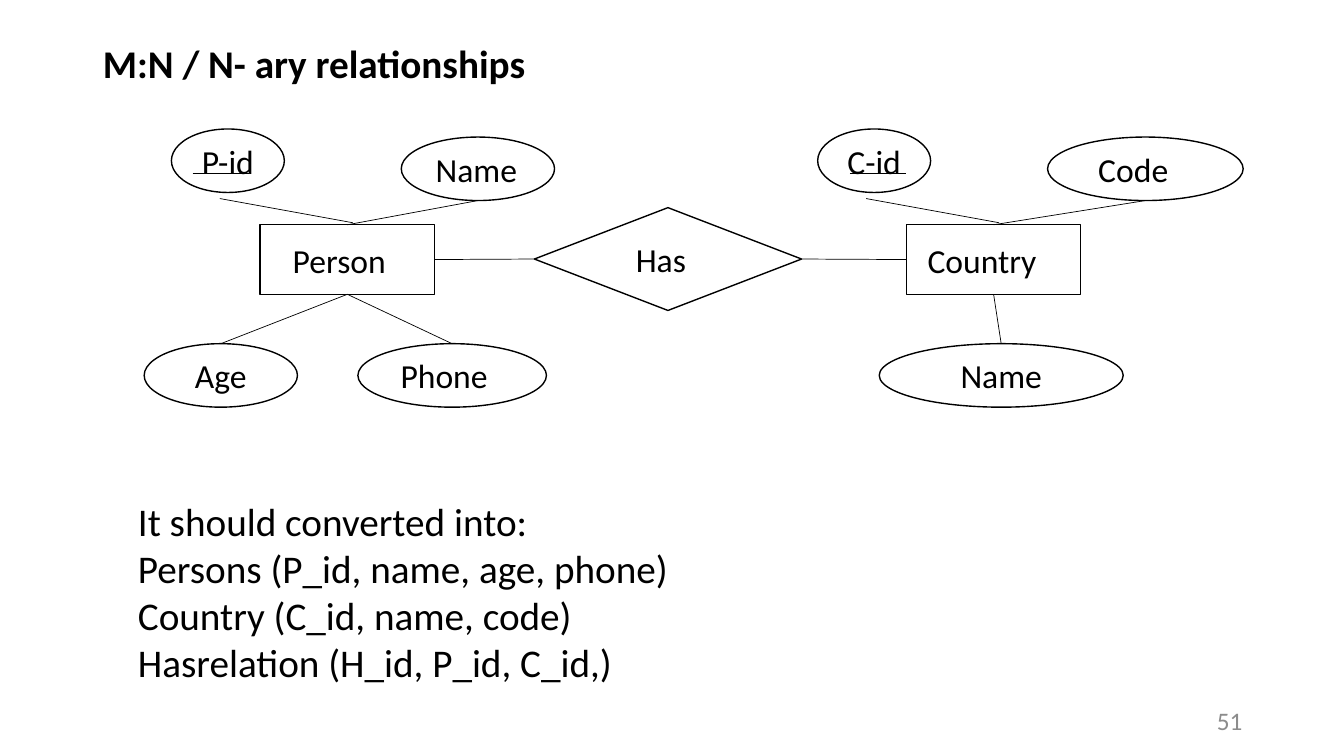
from pptx import Presentation
from pptx.dml.color import RGBColor
from pptx.enum.shapes import MSO_CONNECTOR, MSO_SHAPE
from pptx.enum.text import MSO_ANCHOR, PP_ALIGN
from pptx.oxml.ns import qn
from pptx.util import Pt
from lxml import etree

PX = 9144
TOP, LEFT, BOTTOM, RIGHT = range(4)
STRAIGHT = MSO_CONNECTOR.STRAIGHT
RECT, OVAL, DIAMOND = MSO_SHAPE.RECTANGLE, MSO_SHAPE.OVAL, MSO_SHAPE.FLOWCHART_DECISION
MIDDLE, ANCHOR_TOP = MSO_ANCHOR.MIDDLE, MSO_ANCHOR.TOP
ALIGN_LEFT, CENTER, ALIGN_RIGHT, JUSTIFY = (
    PP_ALIGN.LEFT, PP_ALIGN.CENTER, PP_ALIGN.RIGHT, PP_ALIGN.JUSTIFY)
COLORS = {"ink": "000000", "paper": "FFFFFF", "muted": "8C8C8C"}
ENTITY_W, ENTITY_H, OVAL_H = 173, 69, 63
RELATIONS = [
    "It should converted into:",
    "Persons (P_id, name, age, phone)",
    "Country (C_id, name, code)",
    "Hasrelation (H_id, P_id, C_id,)",
]


def rgb(name):
    """Return the named colour."""
    return RGBColor.from_string(COLORS[name])


def px(*values):
    """Turn px lengths into EMU."""
    return [round(v * PX) for v in values]


def write(tf, lines, size, align, color="ink", bold=False):
    """Fill a text frame with equally formatted paragraphs."""
    tf.word_wrap = True
    for i, line in enumerate(lines):
        p = tf.add_paragraph() if i else tf.paragraphs[0]
        p.text = line
        p.alignment = align
        p.font.name, p.font.size, p.font.bold = "Calibri", Pt(size), bold
        p.font.color.rgb = rgb(color)


def add_node(slide, kind, box, label, nudge=0):
    """Draw an outlined diagram node, its label moved left by half the nudge."""
    sp = slide.shapes.add_shape(kind, *px(*box))
    sp.shadow.inherit = False
    sp.fill.solid()
    sp.fill.fore_color.rgb = rgb("paper")
    sp.line.color.rgb = rgb("ink")
    sp.line.width = Pt(1)
    tf = sp.text_frame
    tf.margin_left = tf.margin_top = tf.margin_bottom = 0
    tf.margin_right = nudge * PX
    tf.vertical_anchor = MIDDLE
    write(tf, [label], 24, CENTER)
    return sp


def add_link(slide, start=(0, 0), end=(0, 0), begin_at=None, end_at=None):
    """Draw a thin line between points or (shape, side) joints."""
    line = slide.shapes.add_connector(STRAIGHT, *px(*start, *end))
    line.line.color.rgb = rgb("ink")
    line.line.width = Pt(0.5)
    etree.SubElement(line._element.spPr, qn("a:effectLst"))
    if begin_at:
        line.begin_connect(*begin_at)
    if end_at:
        line.end_connect(*end_at)


def add_entity(slide, x, y, label, nudge, key, key_line, upper, lower):
    """Draw an entity at x, y with its key and its other attributes."""
    entity = add_node(slide, RECT, (x, y, ENTITY_W, ENTITY_H), label, nudge)
    add_node(slide, OVAL, (x - 88, y - 95, 112, OVAL_H), key)
    add_link(slide, (x + key_line, y - 51), (x + key_line + 56, y - 51))
    add_link(slide, (x - 40, y - 26), (x + 92, y - 2))

    dx, width, text, shift = upper
    add_node(slide, OVAL, (x + dx, y - 87, width, OVAL_H), text, shift)
    add_link(slide, end=(x + dx + width // 2, y - 87 + OVAL_H), begin_at=(entity, TOP))
    for dx, width, text, shift in lower:
        oval = add_node(slide, OVAL, (x + dx, y + 118, width, OVAL_H), text, shift)
        add_link(slide, begin_at=(entity, BOTTOM), end_at=(oval, TOP))
    return entity


def add_diagram(slide, x, y):
    """Draw both entities and the relationship, from the first entity's corner."""
    person = add_entity(slide, x, y, "Person", 16, "P-id", -67,
                        (140, 152, "Name", 3),
                        [(-115, 152, "Age", 0), (97, 187, "Phone", 16)])
    country = add_entity(slide, x + 641, y, "Country", 23, "C-id", -56,
                         (140, 194, "Code", 24), [(-27, 242, "Name", 0)])
    has = add_node(slide, DIAMOND, (x + 272, y - 17, 265, 102), "Has", 14)
    add_link(slide, begin_at=(person, RIGHT), end_at=(has, LEFT))
    add_link(slide, begin_at=(has, RIGHT), end_at=(country, LEFT))


def add_title(slide, *box):
    """Place and format the slide title."""
    title = slide.shapes.title
    title.left, title.top, title.width, title.height = px(*box)
    title.text_frame.vertical_anchor = ANCHOR_TOP
    write(title.text_frame, ["M:N / N- ary relationships"], 28, JUSTIFY, bold=True)
    title.text_frame.paragraphs[0].line_spacing = 0.9


def add_text(slide, box, lines, size, align, color="ink", anchor=ANCHOR_TOP):
    """Place a plain text box."""
    tf = slide.shapes.add_textbox(*px(*box)).text_frame
    tf.vertical_anchor = anchor
    write(tf, lines, size, align, color)


def main():
    """Build the slide and save it."""
    prs = Presentation()
    prs.slide_width, prs.slide_height = px(1333, 750)
    slide = prs.slides.add_slide(prs.slide_layouts[5])
    add_title(slide, 92, 39, 1150, 60)
    add_diagram(slide, 258, 223)
    add_text(slide, (127, 488, 693, 199), RELATIONS, 28, ALIGN_LEFT)
    add_text(slide, (942, 695, 300, 40), ["51"], 18, ALIGN_RIGHT, "muted", MIDDLE)
    prs.save("out.pptx")


if __name__ == "__main__":
    main()
